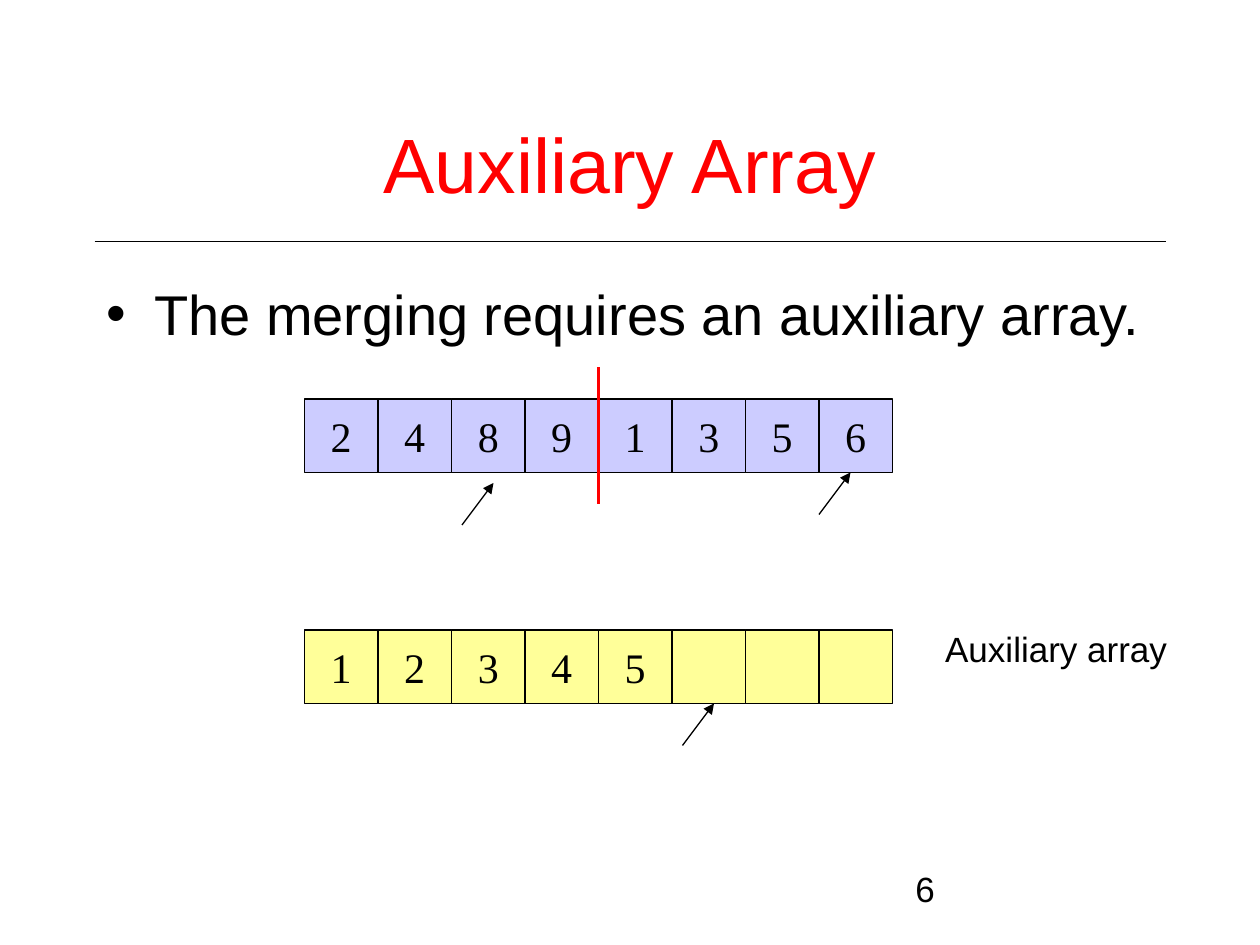
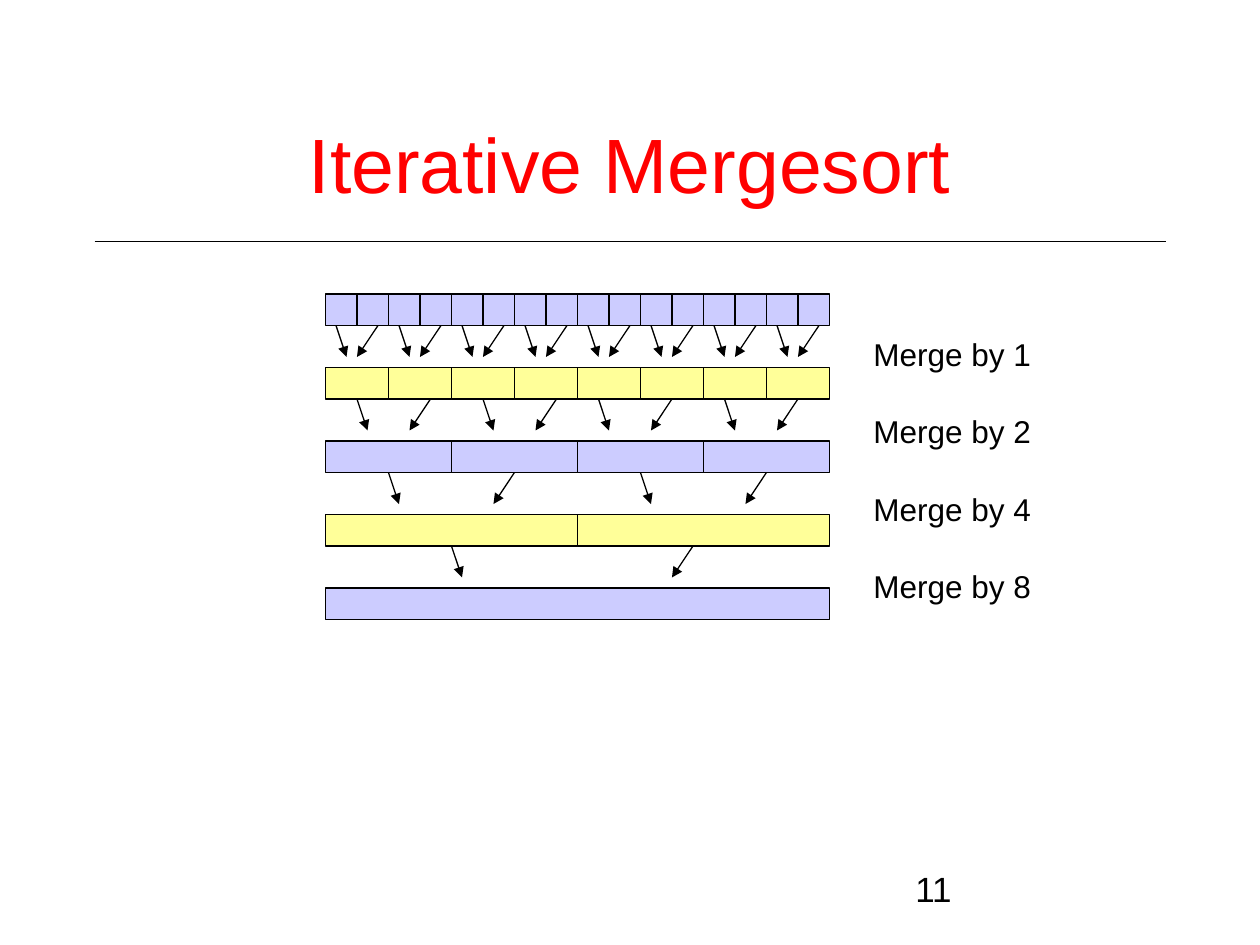
"""Build two slides on merging with an auxiliary array and on iterative mergesort."""
import dataclasses

import lxml.etree
import pptx
import pptx.dml.color
import pptx.enum.shapes
import pptx.enum.text
import pptx.oxml.ns
import pptx.util

Pt = pptx.util.Pt
qn = pptx.oxml.ns.qn
ALIGN = pptx.enum.text.PP_ALIGN
ANCHOR = pptx.enum.text.MSO_ANCHOR
AUTO_SIZE = pptx.enum.text.MSO_AUTO_SIZE

COLORS = {"ink": "000000", "accent": "FF0000", "source": "CCCCFF", "target": "FFFF99"}
SANS, SERIF = "Arial", "Times New Roman"
TITLE_ONLY = 5


@dataclasses.dataclass(frozen=True)
class ArrayRow:
    """A row of equal cells, with one text for each cell."""
    left: float
    top: float
    cell_width: float
    height: float
    fill: str
    values: tuple[str, ...]


@dataclasses.dataclass(frozen=True)
class MergeLevel:
    """A sorted-run length with the arrow pairs that lead to the next level."""
    run_length: int
    arrow_starts: tuple[float, ...] = ()
    arrow_spread: float = 0


def rgb(name: str) -> pptx.dml.color.RGBColor:
    """Look up a named colour."""
    return pptx.dml.color.RGBColor.from_string(COLORS[name])


def add_span(para, text: str, size: float, font: str = SANS, color: str = "ink") -> None:
    """Add a formatted run to a paragraph."""
    span = para.add_run()
    span.text = text
    span.font.size = Pt(size)
    span.font.name = font
    span.font.color.rgb = rgb(color)


def add_text(page, left: float, top: float, width: float, height: float,
             lines: tuple[str, ...], size: float, gap: float = 0):
    """Add a text box with one paragraph for each line."""
    box = page.shapes.add_textbox(Pt(left), Pt(top), Pt(width), Pt(height))
    frame = box.text_frame
    frame.word_wrap = True
    frame.auto_size = AUTO_SIZE.NONE
    for index, line in enumerate(lines):
        para = frame.add_paragraph() if index else frame.paragraphs[0]
        if index:
            para.space_before = Pt(gap)
        add_span(para, line, size)
    return box


def add_line(page, start: tuple[float, float], end: tuple[float, float],
             color: str = "ink", weight: float = 0.75, arrow: bool = False) -> None:
    """Draw a straight line, with an arrowhead at its end if asked."""
    line = page.shapes.add_connector(
        pptx.enum.shapes.MSO_CONNECTOR.STRAIGHT, *map(Pt, (*start, *end)))
    line.line.color.rgb = rgb(color)
    line.line.width = Pt(weight)
    if arrow:
        outline = line.line._get_or_add_ln()
        lxml.etree.SubElement(outline, qn("a:tailEnd"), type="triangle")
    lxml.etree.SubElement(line._element.spPr, qn("a:effectLst"))


def add_array(page, row: ArrayRow) -> None:
    """Draw the cells of an array side by side."""
    for index, value in enumerate(row.values):
        cell = page.shapes.add_shape(
            pptx.enum.shapes.MSO_SHAPE.RECTANGLE,
            Pt(row.left + index * row.cell_width), Pt(row.top),
            Pt(row.cell_width), Pt(row.height))
        cell.shadow.inherit = False
        cell.fill.solid()
        cell.fill.fore_color.rgb = rgb(row.fill)
        cell.line.color.rgb = rgb("ink")
        cell.line.width = Pt(0.75)
        if value:
            frame = cell.text_frame
            frame.word_wrap = False
            frame.vertical_anchor = ANCHOR.MIDDLE
            para = frame.paragraphs[0]
            para.alignment = ALIGN.CENTER
            add_span(para, value, 24, SERIF)


def add_page(deck, title: str, number: str):
    """Add a slide with its title, rule and page number."""
    page = deck.slides.add_slide(deck.slide_layouts[TITLE_ONLY])
    box = page.shapes.title
    box.left, box.top, box.width, box.height = Pt(54), Pt(48), Pt(612), Pt(90)
    frame = box.text_frame
    frame.auto_size = AUTO_SIZE.NONE
    frame.vertical_anchor = ANCHOR.MIDDLE
    para = frame.paragraphs[0]
    para.alignment = ALIGN.CENTER
    add_span(para, title, 44, color="accent")
    add_line(page, (54, 138), (666, 138))
    add_text(page, 516, 492, 150, 36, (number,), 20)
    return page


def add_bullet(para, indent: float) -> None:
    """Give a paragraph a round bullet with a hanging indent."""
    properties = para._p.get_or_add_pPr()
    properties.set("marL", str(Pt(indent)))
    properties.set("indent", str(-Pt(indent)))
    lxml.etree.SubElement(properties, qn("a:buFont"), typeface=SANS)
    lxml.etree.SubElement(properties, qn("a:buChar"), char="•")


def build_auxiliary_array(deck) -> None:
    """Show two sorted halves being merged into an auxiliary array."""
    page = add_page(deck, "Auxiliary Array", "6")
    body = add_text(page, 54, 156, 612, 324,
                    ("The merging requires an auxiliary array.",), 32)
    add_bullet(body.text_frame.paragraphs[0], 27)

    add_array(page, ArrayRow(174, 228, 42, 42, "source", tuple("24891356")))
    add_array(page, ArrayRow(174, 360, 42, 42, "target", (*"12345", "", "", "")))
    add_line(page, (342, 210), (342, 288), "accent", 2.25)
    for left, top in ((264, 276), (468, 270), (390, 402)):
        add_line(page, (left, top + 24), (left + 18, top), arrow=True)
    add_text(page, 533, 355, 144, 31.5, ("Auxiliary array",), 20)


def build_iterative_mergesort(deck) -> None:
    """Show runs doubling in length until the whole array is sorted."""
    page = add_page(deck, "Iterative Mergesort", "11")
    left, top, unit, pitch, cell_count = 186, 168, 18, 42, 16
    levels = (
        MergeLevel(1, tuple(range(192, 480, 36)), 24),
        MergeLevel(2, (204, 276, 342, 414), 42),
        MergeLevel(4, (222, 366), 72),
        MergeLevel(8, (258,), 138),
        MergeLevel(16),
    )
    for index, level in enumerate(levels):
        row_top = top + index * pitch
        fill = "target" if index % 2 else "source"
        empty_cells = ("",) * (cell_count // level.run_length)
        add_array(page, ArrayRow(left, row_top, unit * level.run_length, unit,
                                 fill, empty_cells))
        tail, head = row_top + unit, row_top + 2 * unit
        for start in level.arrow_starts:
            mate = start + level.arrow_spread
            add_line(page, (start, tail), (start + 6, head), arrow=True)
            add_line(page, (mate, tail), (mate - 12, head), arrow=True)
    labels = tuple(f"Merge by {level.run_length}" for level in levels[:-1])
    add_text(page, 492, 188, 108, 158.4, labels, 18, gap=22.5)


def main() -> None:
    """Build and save the deck."""
    deck = pptx.Presentation()
    deck.slide_width, deck.slide_height = Pt(720), Pt(540)
    build_auxiliary_array(deck)
    build_iterative_mergesort(deck)
    deck.save("out.pptx")


if __name__ == "__main__":
    main()
